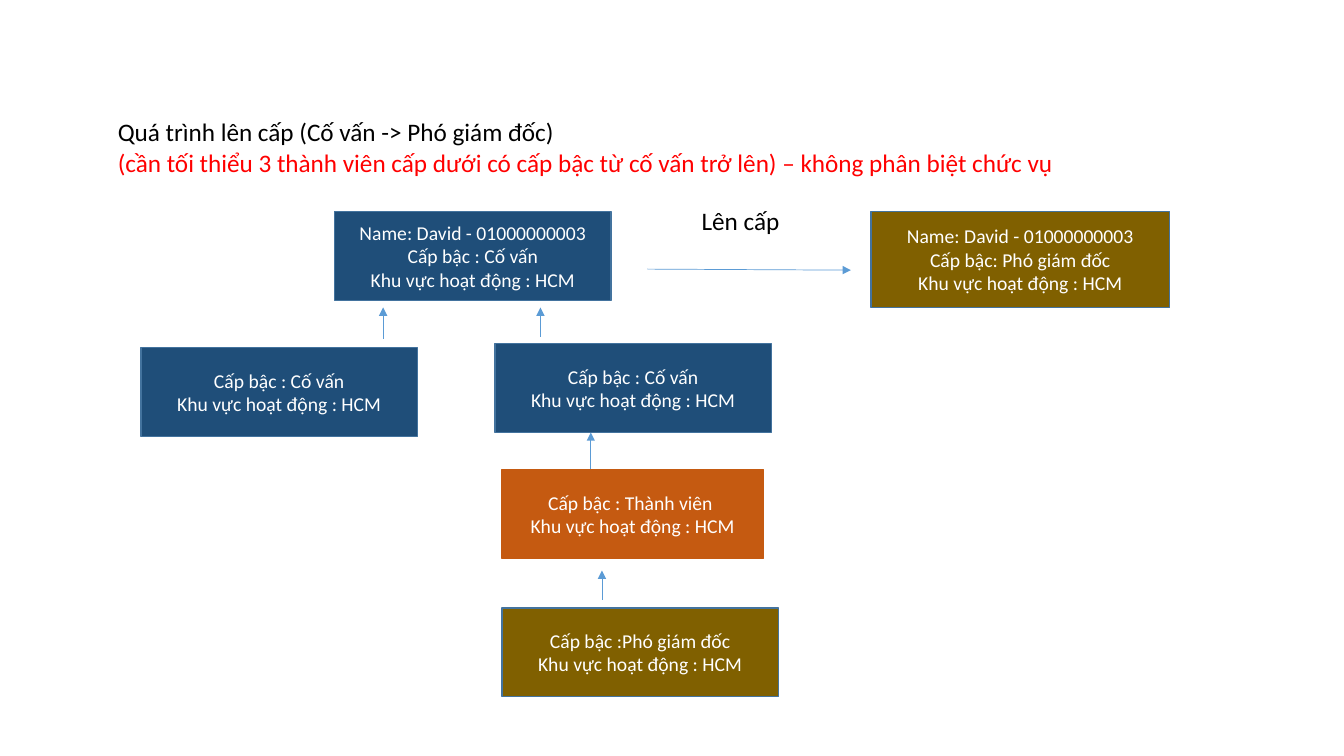
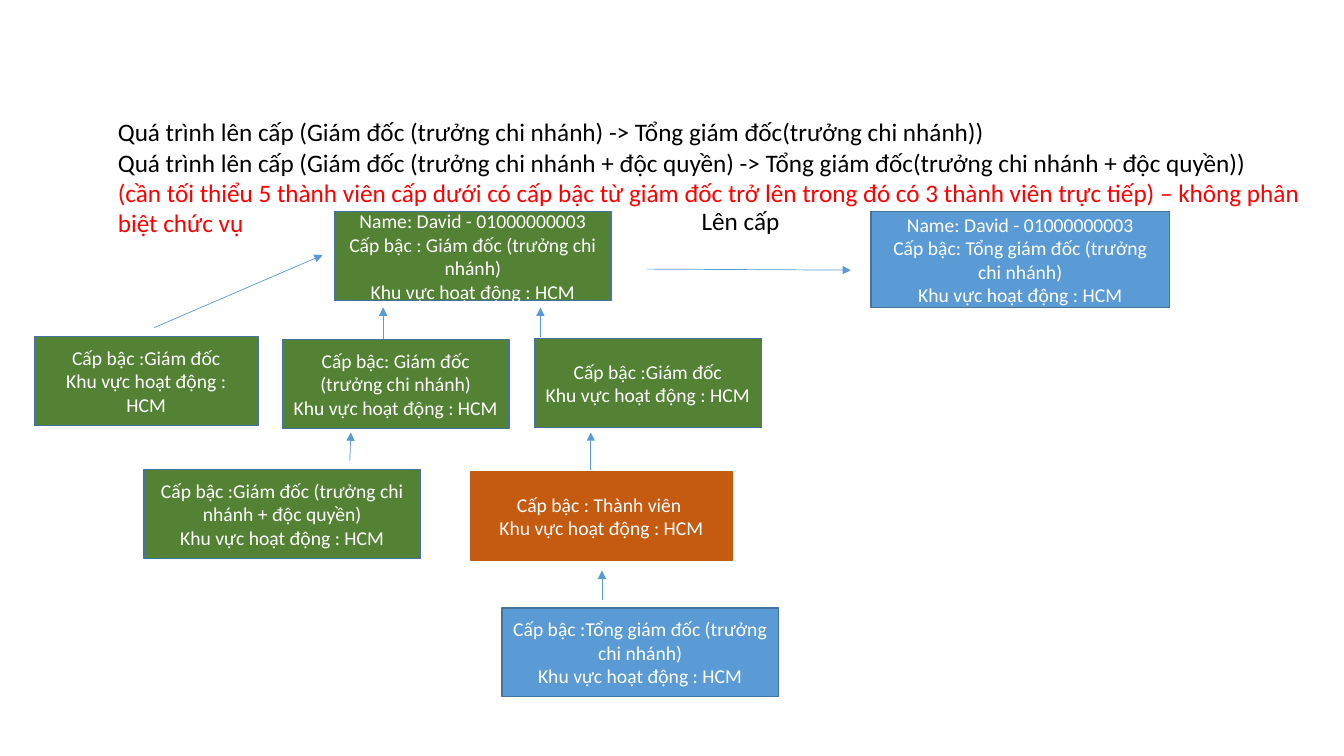
import dataclasses

import pptx
import pptx.dml.color
import pptx.enum.shapes
import pptx.enum.text
import pptx.oxml
import pptx.oxml.ns
import pptx.util

EMU_PER_PX = 9144
AREA = "Khu vực hoạt động : HCM"
PERSON = "Name: David - 01000000003"
BOX_WIDTH, BOX_HEIGHT = 274, 88


@dataclasses.dataclass(frozen=True)
class Theme:
    font: str = "Calibri"
    heading_size: int = 18
    box_size: int = 14
    text: str = "000000"
    warning: str = "FF0000"
    box_text: str = "FFFFFF"
    outline: str = "43739E"
    arrow: str = "5B9BD5"
    adviser: str = "1F4E79"
    deputy: str = "806000"
    member: str = "C55A11"
    director: str = "548235"
    general: str = "5B9BD5"


def px(length):
    return pptx.util.Emu(length * EMU_PER_PX)


def rgb(value):
    return pptx.dml.color.RGBColor.from_string(value)


class Deck:
    """Draws promotion charts on the current slide in one style."""

    def __init__(self, theme):
        self.theme = theme
        self.presentation = pptx.Presentation()
        self.presentation.slide_width = px(1333)
        self.presentation.slide_height = px(750)
        self.slide = None

    def add_slide(self):
        self.slide = self.presentation.slides.add_slide(self.presentation.slide_layouts[6])

    def set_lines(self, text_frame, lines, size, colors, alignment):
        text_frame.text = "\n".join(lines)
        for paragraph, color in zip(text_frame.paragraphs, colors):
            paragraph.alignment = alignment
            for run in paragraph.runs:
                run.font.name = self.theme.font
                run.font.size = pptx.util.Pt(size)
                run.font.color.rgb = rgb(color)

    def text(self, left, top, width, height, lines, colors):
        shape = self.slide.shapes.add_textbox(px(left), px(top), px(width), px(height))
        shape.text_frame.word_wrap = False
        shape.text_frame.auto_size = pptx.enum.text.MSO_AUTO_SIZE.SHAPE_TO_FIT_TEXT
        self.set_lines(shape.text_frame, lines, self.theme.heading_size, colors,
                       pptx.enum.text.PP_ALIGN.LEFT)

    def box(self, left, top, lines, fill, width=BOX_WIDTH, height=BOX_HEIGHT, outline=None):
        shape = self.slide.shapes.add_shape(
            pptx.enum.shapes.MSO_SHAPE.RECTANGLE, px(left), px(top), px(width), px(height))
        shape.shadow.inherit = False
        shape.fill.solid()
        shape.fill.fore_color.rgb = rgb(fill)
        shape.line.color.rgb = rgb(outline or self.theme.outline)
        shape.line.width = pptx.util.Pt(1)
        shape.text_frame.word_wrap = True
        shape.text_frame.vertical_anchor = pptx.enum.text.MSO_ANCHOR.MIDDLE
        self.set_lines(shape.text_frame, lines, self.theme.box_size,
                       [self.theme.box_text] * len(lines), pptx.enum.text.PP_ALIGN.CENTER)

    def member_box(self, left, top):
        self.box(left, top, ["Cấp bậc : Thành viên ", AREA], self.theme.member,
                 width=259, outline=self.theme.member)

    def arrow(self, start_x, start_y, end_x, end_y):
        connector = self.slide.shapes.add_connector(
            pptx.enum.shapes.MSO_CONNECTOR.STRAIGHT,
            px(start_x), px(start_y), px(end_x), px(end_y))
        connector.line.color.rgb = rgb(self.theme.arrow)
        connector.line.width = pptx.util.Pt(0.5)
        namespace = pptx.oxml.ns.nsdecls("a")
        properties = connector.element.spPr
        properties.find(pptx.oxml.ns.qn("a:ln")).append(
            pptx.oxml.parse_xml(f'<a:tailEnd {namespace} type="triangle"/>'))
        properties.append(pptx.oxml.parse_xml(f"<a:effectLst {namespace}/>"))

    def promotion(self, heading, heading_width, warning_lines, before, after, fills, lowest):
        """Draws the heading, the step up and the arrows that every slide has."""
        theme = self.theme
        self.add_slide()
        lines = heading + warning_lines
        colors = [theme.text] * len(heading) + [theme.warning] * len(warning_lines)
        self.text(107, 111, heading_width, 10 + 30 * len(lines), lines, colors)
        self.box(332, 210, [PERSON, before, AREA], fills[0])
        self.arrow(642, 267, 844, 268)
        self.box(864, 210, [PERSON, after, AREA], fills[1], width=296, height=95)
        self.text(686, 199, 99, 40, ["Lên cấp"], [theme.text])
        self.box(498, 603, [lowest, AREA], fills[1])
        for x, bottom, top in [(380, 336, 305), (536, 334, 305), (586, 466, 429), (597, 595, 566)]:
            self.arrow(x, bottom, x, top)


def add_deputy_slide(deck):
    theme = deck.theme
    deck.promotion(
        ["Quá trình lên cấp (Cố vấn -> Phó giám đốc)"], 960,
        ["(cần tối thiểu 3 thành viên cấp dưới có cấp bậc từ cố vấn trở lên)"
         " – không phân biệt chức vụ"],
        "Cấp bậc : Cố vấn", "Cấp bậc: Phó giám đốc",
        (theme.adviser, theme.deputy), "Cấp bậc :Phó giám đốc")
    for left, top in [(140, 345), (491, 341)]:
        deck.box(left, top, ["Cấp bậc : Cố vấn", AREA], theme.adviser)
    deck.member_box(498, 466)


def add_general_slide(deck):
    theme = deck.theme
    deck.promotion(
        ["Quá trình lên cấp (Giám đốc (trưởng chi nhánh) -> Tổng giám đốc(trưởng chi nhánh))",
         "Quá trình lên cấp (Giám đốc (trưởng chi nhánh + độc quyền)"
         " -> Tổng giám đốc(trưởng chi nhánh + độc quyền))"], 1208,
        ["(cần tối thiểu 5 thành viên cấp dưới có cấp bậc từ giám đốc trở lên"
         " trong đó có 3 thành viên trực tiếp) – không phân",
         "biệt chức vụ"],
        "Cấp bậc : Giám đốc (trưởng chi nhánh)", "Cấp bậc: Tổng giám đốc (trưởng chi nhánh)",
        (theme.director, theme.general), "Cấp bậc :Tổng giám đốc (trưởng chi nhánh)")
    directors = [
        (34, 334, 222, "Cấp bậc :Giám đốc"),
        (280, 337, 225, "Cấp bậc: Giám đốc (trưởng chi nhánh)"),
        (530, 336, 225, "Cấp bậc :Giám đốc"),
        (143, 466, BOX_WIDTH, "Cấp bậc :Giám đốc (trưởng chi nhánh + độc quyền)"),
    ]
    for left, top, width, rank in directors:
        deck.box(left, top, [rank, AREA], theme.director, width=width)
    deck.member_box(467, 468)
    deck.arrow(347, 457, 348, 429)
    deck.arrow(153, 325, 320, 253)


def main():
    deck = Deck(Theme())
    add_deputy_slide(deck)
    add_general_slide(deck)
    deck.presentation.save("out.pptx")


if __name__ == "__main__":
    main()
